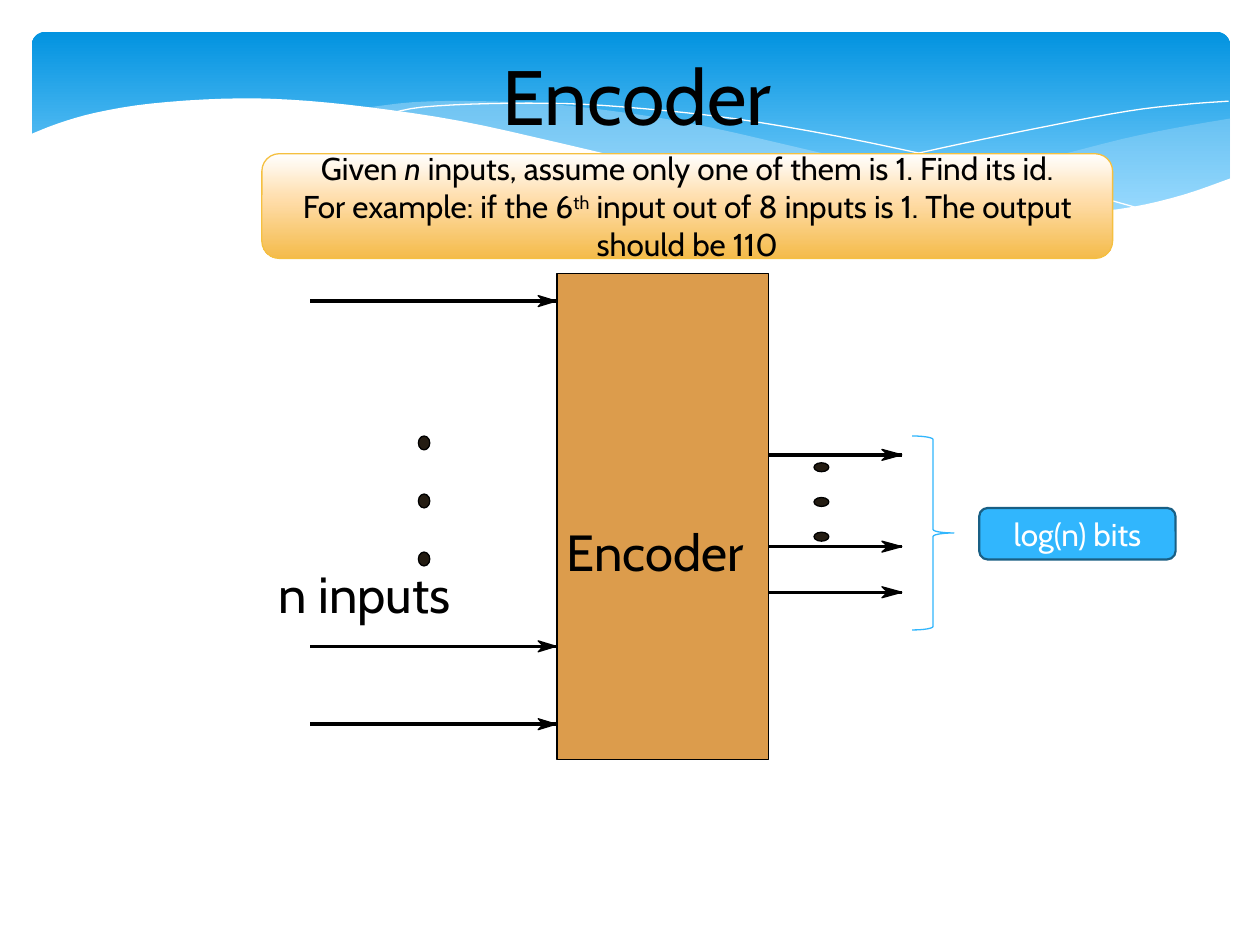
from lxml.etree import SubElement
from pptx import Presentation
from pptx.dml.color import RGBColor
from pptx.enum.shapes import MSO_CONNECTOR, MSO_SHAPE
from pptx.enum.text import MSO_ANCHOR, PP_ALIGN
from pptx.oxml.ns import qn
from pptx.util import Cm, Pt

COLORS = {
    "black": "000000", "white": "FFFFFF", "dot": "241C12", "encoder": "DC9C4C",
    "swoosh": "C6E7FC", "blue": "31B6FD", "blue_edge": "195F84", "gold_edge": "F5C040",
}
HEADER_STOPS = [(0, "0293E0"), (90, "83D3FE")]
CALLOUT_STOPS = [(0, "FFFFFF"), (44, "FFDDAA"), (100, "F4BB4A")]
FONT = "Cabin"

# Header curves in cm from the header's corner
RIGHT_TOP = [(24.16, 1.75), (23.11, 1.93), (22, 2.16), (20.5, 2.54), (19.15, 2.84),
             (17.3, 3.23), (16.15, 3.43)]
RIGHT_BOTTOM = [(16.15, 3.43), (17.27, 3.56), (18.59, 3.68), (20.04, 3.73),
                (21.51, 3.66), (22.76, 3.43), (23.47, 3.23), (24.16, 2.95)]
MIDDLE_TOP = [(22.05, 3.61), (20.62, 3.4), (19.05, 3.15), (17.3, 2.77), (15.34, 2.31),
              (13.82, 1.96), (12.42, 1.7), (10.59, 1.47), (9.02, 1.4), (7.7, 1.42),
              (6.63, 1.55)]
MIDDLE_BOTTOM = [(6.63, 1.55), (8.05, 1.75), (9.63, 2.06), (11.84, 2.57), (13.74, 3),
                 (15.47, 3.33), (17.02, 3.56), (18.36, 3.68), (19.86, 3.76),
                 (20.9, 3.73), (22.05, 3.61)]
FALLING_LINE = [(7.21, 1.65), (7.87, 1.52), (9.19, 1.45), (10.8, 1.45), (12.32, 1.55),
                (14.15, 1.75), (16.26, 2.11), (18.67, 2.62), (20.47, 3.05), (22.4, 3.58)]
RISING_LINE = [(14.94, 3.2), (16.43, 2.79), (18.36, 2.34), (20.6, 1.88), (22.1, 1.6),
               (23.19, 1.47), (24.13, 1.4)]
WHITE_EDGE = [(24.18, 2.95), (23.24, 3.28), (22.2, 3.53), (20.96, 3.68), (19.51, 3.71),
              (17.81, 3.61), (15.82, 3.33), (13.46, 2.9), (10.72, 2.26), (8.64, 1.8),
              (6.78, 1.52), (5.21, 1.37), (3.86, 1.35), (2.39, 1.45), (1.3, 1.63),
              (0.53, 1.85), (-0.05, 2.08)]
WHITE_BASE = [(-0.05, 5.05), (24.18, 5.05)]


def rgb(name):
    return RGBColor.from_string(COLORS[name])


def smooth_curve(points, steps=4):
    """Catmull-Rom curve through the points."""
    padded = [points[0], *points, points[-1]]
    curve = [points[0]]
    for a, b, c, d in zip(padded, padded[1:], padded[2:], padded[3:]):
        for step in range(1, steps + 1):
            t = step / steps
            curve.append(tuple(
                (2 * q + (r - p) * t + (2 * p - 5 * q + 4 * r - s) * t ** 2
                 + (3 * q - p - 3 * r + s) * t ** 3) / 2
                for p, q, r, s in zip(a, b, c, d)))
    return curve


def style(shape, fill=None, line=None, width=0):
    shape.shadow.inherit = False
    if fill:
        shape.fill.solid()
        shape.fill.fore_color.rgb = rgb(fill)
    else:
        shape.fill.background()
    if line:
        shape.line.color.rgb = rgb(line)
        shape.line.width = Pt(width)
    else:
        shape.line.fill.background()
    return shape


def add_box(page, kind, box, **look):
    return style(page.shapes.add_shape(kind, *map(Cm, box)), **look)


def add_outline(page, box, points, closed=True, **look):
    placed = [(Cm(box[0] + x), Cm(box[1] + y)) for x, y in points]
    builder = page.shapes.build_freeform(*placed[0])
    builder.add_line_segments(placed[1:], close=closed)
    return style(builder.convert_to_shape(), **look)


def set_gradient(shape, stops):
    shape.fill.gradient()
    shape.fill.gradient_angle = 270
    stop_list = shape.element.spPr.find(".//" + qn("a:gsLst"))
    for old in list(stop_list):
        stop_list.remove(old)
    for position, color in stops:
        stop = SubElement(stop_list, qn("a:gs"), pos=str(position * 1000))
        SubElement(stop, qn("a:srgbClr"), val=color)


def set_opacity(shape, percent):
    color = shape.element.spPr.find(qn("a:solidFill") + "/" + qn("a:srgbClr"))
    SubElement(color, qn("a:alpha"), val=str(percent * 1000))


def format_span(span, size, color="black"):
    span.font.name = FONT
    span.font.size = Pt(size)
    span.font.color.rgb = rgb(color)


def add_label(page, box, text, size):
    frame = page.shapes.add_textbox(*map(Cm, box)).text_frame
    frame.margin_left = frame.margin_right = frame.margin_top = frame.margin_bottom = 0
    frame.text = text
    format_span(frame.paragraphs[0].runs[0], size)
    return frame


def add_arrow(page, start, length, head):
    x, y = start
    line = page.shapes.add_connector(
        MSO_CONNECTOR.STRAIGHT, Cm(x), Cm(y), Cm(x + length), Cm(y))
    line.line.color.rgb = rgb("black")
    line.line.width = Pt(0)
    SubElement(line.element.spPr, qn("a:effectLst"))
    notched = [(-0.7 * head, 0), (-head, 0.11), (0, 0), (-head, -0.11)]
    add_outline(page, (x + length, y), notched, fill="black", line="black")


def add_dots(page, center_x, first_y, gap, width, height):
    for index in range(3):
        box = (center_x - width / 2, first_y + index * gap - height / 2, width, height)
        add_box(page, MSO_SHAPE.OVAL, box, fill="dot", line="black")


def draw_header(page, box):
    band = add_box(page, MSO_SHAPE.ROUNDED_RECTANGLE, box)
    band.adjustments[0] = 0.07
    set_gradient(band, HEADER_STOPS)
    for top, bottom, opacity in [(RIGHT_TOP, RIGHT_BOTTOM, 29),
                                 (MIDDLE_TOP, MIDDLE_BOTTOM, 40)]:
        swoosh = add_outline(page, box, smooth_curve(top) + smooth_curve(bottom),
                             fill="swoosh")
        set_opacity(swoosh, opacity)
    for points in (FALLING_LINE, RISING_LINE):
        add_outline(page, box, smooth_curve(points), closed=False, line="white")
    add_outline(page, box, smooth_curve(WHITE_EDGE) + WHITE_BASE, fill="white")


def draw_title(page, box):
    frame = add_label(page, box, "Encoder", 44)
    frame.word_wrap = True
    frame.vertical_anchor = MSO_ANCHOR.MIDDLE
    frame.paragraphs[0].alignment = PP_ALIGN.CENTER


def draw_encoder(page, box):
    left, top, width, height = box
    right = left + width
    add_box(page, MSO_SHAPE.RECTANGLE, box, fill="encoder", line="black")
    # Inputs
    for y in (0.56, 7.52, 9.09):
        add_arrow(page, (left - 4.98, top + y), 4.96, 0.36)
    add_dots(page, left - 2.68, top + 3.42, 1.17, 0.23, 0.28)
    add_label(page, (left - 5.61, top + 5.84, 4.04, 1.47), "n inputs", 29)
    add_label(page, (left + 0.2, top + 4.98, 3.84, 1.24), "Encoder", 29)
    # Outputs
    for y in (3.66, 5.51, 6.43):
        add_arrow(page, (right, top + y), 2.68, 0.4)
    add_dots(page, right + 1.06, top + 3.91, 0.7, 0.3, 0.18)
    add_box(page, MSO_SHAPE.RIGHT_BRACE, (right + 2.89, top + 3.28, 0.84, 3.91),
            line="blue", width=0.75)
    bits = add_box(page, MSO_SHAPE.ROUNDED_RECTANGLE,
                   (right + 4.24, top + 4.73, 3.96, 1.04),
                   fill="blue", line="blue_edge", width=1.25)
    bits.text_frame.text = "log(n) bits"
    bits.text_frame.vertical_anchor = MSO_ANCHOR.MIDDLE
    bits.text_frame.paragraphs[0].alignment = PP_ALIGN.CENTER
    format_span(bits.text_frame.paragraphs[0].runs[0], 18, "white")


def draw_callout(page, box):
    callout = add_box(page, MSO_SHAPE.ROUNDED_RECTANGLE, box, line="gold_edge", width=0.75)
    set_gradient(callout, CALLOUT_STOPS)
    frame = callout.text_frame
    frame.word_wrap = True
    frame.vertical_anchor = MSO_ANCHOR.MIDDLE
    lines = [("Given ", "n", " inputs, assume only one of them is 1. Find its id."),
             ("For example: if the 6", "th",
              " input out of 8 inputs is 1. The output should be 110")]
    for index, parts in enumerate(lines):
        para = frame.add_paragraph() if index else frame.paragraphs[0]
        para.alignment = PP_ALIGN.CENTER
        for part in parts:
            span = para.add_run()
            span.text = part
            format_span(span, 18)
    frame.paragraphs[0].runs[1].font.italic = True
    frame.paragraphs[1].runs[1].font._element.set("baseline", "30000")


def main():
    deck = Presentation()
    deck.slide_width, deck.slide_height = Cm(25.4), Cm(19.05)
    page = deck.slides.add_slide(deck.slide_layouts[6])
    draw_header(page, (0.64, 0.64, 24.16, 3.96))
    draw_title(page, (0.1, 0.84, 25.5, 2.13))
    draw_encoder(page, (11.23, 5.51, 4.27, 9.8))
    draw_callout(page, (5.28, 3.1, 17.15, 2.11))
    deck.save("out.pptx")


if __name__ == "__main__":
    main()
